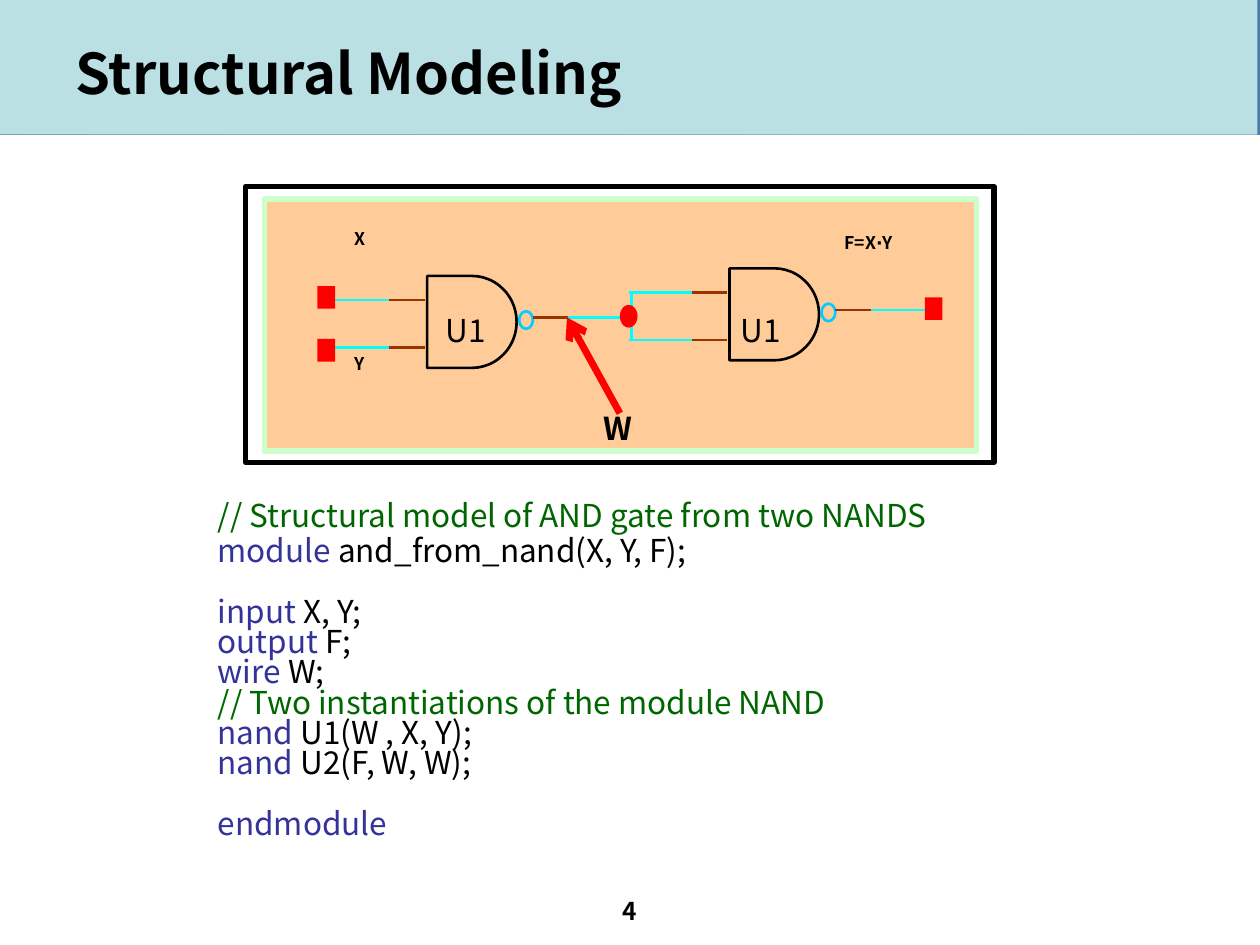
from lxml import etree
from pptx import Presentation
from pptx.dml.color import RGBColor
from pptx.enum.shapes import MSO_CONNECTOR, MSO_SHAPE
from pptx.enum.text import MSO_ANCHOR, PP_ALIGN
from pptx.oxml.ns import qn
from pptx.util import Inches, Pt

RECTANGLE, ELLIPSE = MSO_SHAPE.RECTANGLE, MSO_SHAPE.OVAL
GATE_BODY = MSO_SHAPE.FLOWCHART_DELAY
STRAIGHT = MSO_CONNECTOR.STRAIGHT
LEFT, CENTER = PP_ALIGN.LEFT, PP_ALIGN.CENTER
TOP, MIDDLE = MSO_ANCHOR.TOP, MSO_ANCHOR.MIDDLE

FONT = "Noto Sans CJK KR"
BLACK, RED = "000000", "FF0000"
WIRE, LEAD, BUBBLE = "00FFFF", "993300", "00CCFF"
KEYWORD, COMMENT = "333399", "006600"
LINE_PITCH = 17.3

# Each line of code: space before in points, then its (text, colour) runs
CODE = [
    (0, [("// Structural model of AND gate from two NANDS", COMMENT)]),
    (2.7, [("module", KEYWORD), (" and_from_nand(X, Y, F);", BLACK)]),
    (LINE_PITCH, [("input", KEYWORD), (" X, Y;", BLACK)]),
    (0, [("output", KEYWORD), (" F;", BLACK)]),
    (0, [("wire", KEYWORD), (" W;", BLACK)]),
    (0, [("// Two instantiations of the module NAND", COMMENT)]),
    (0, [("nand", KEYWORD), (" U1(W , X, Y);", BLACK)]),
    (0, [("nand", KEYWORD), (" U2(F, W, W);", BLACK)]),
    (LINE_PITCH, [("endmodule", KEYWORD)]),
]


def rgb(color):
    return RGBColor.from_string(color)


def add_block(page, kind, left, top, width, height, fill=None, line=None, weight=1.5):
    block = page.shapes.add_shape(
        kind, Inches(left), Inches(top), Inches(width), Inches(height))
    block.shadow.inherit = False
    if fill:
        block.fill.solid()
        block.fill.fore_color.rgb = rgb(fill)
    else:
        block.fill.background()
    if line:
        block.line.color.rgb = rgb(line)
        block.line.width = Pt(weight)
    else:
        block.line.fill.background()
    return block


def add_line(page, x1, y1, x2, y2, color, weight=1.5, arrow=False):
    line = page.shapes.add_connector(
        STRAIGHT, Inches(x1), Inches(y1), Inches(x2), Inches(y2))
    line.line.color.rgb = rgb(color)
    line.line.width = Pt(weight)
    properties = line._element.spPr
    if arrow:
        etree.SubElement(properties.find(qn("a:ln")), qn("a:tailEnd"), type="arrow")
    etree.SubElement(properties, qn("a:effectLst"))


def add_run(para, text, size, color=BLACK, bold=False):
    span = para.add_run()
    span.text = text
    span.font.name = FONT
    span.font.size = Pt(size)
    span.font.bold = bold
    span.font.color.rgb = rgb(color)


def add_text_box(page, left, top, width, height):
    box = page.shapes.add_textbox(
        Inches(left), Inches(top), Inches(width), Inches(height))
    box.text_frame.word_wrap = True
    box.text_frame.vertical_anchor = TOP
    return box.text_frame


def add_label(page, text, left, top, width, height, size, bold=False, align=LEFT):
    para = add_text_box(page, left, top, width, height).paragraphs[0]
    para.alignment = align
    add_run(para, text, size, bold=bold)


def add_header(page, width, height):
    """Blue band with a light cover set slightly to the left, and the title."""
    band = add_block(page, RECTANGLE, 0, 0, width, height)
    band.fill.gradient()
    band.fill.gradient_angle = 0
    for stop, color in zip(band.fill.gradient_stops, ("003F7E", "004386")):
        stop.color.rgb = rgb(color)
    last_color = list(band._element.spPr.iter(qn("a:srgbClr")))[-1]
    etree.SubElement(last_color, qn("a:alpha"), val="70000")
    add_block(page, RECTANGLE, -0.02, 0, width, height, fill="BBE0E3")

    title = page.shapes.title
    title.left, title.top = Inches(0.5), Inches(0.3)
    title.width, title.height = Inches(width - 1), Inches(0.54)
    title.text_frame.vertical_anchor = MIDDLE
    para = title.text_frame.paragraphs[0]
    para.alignment = LEFT
    add_run(para, "Structural Modeling", 32, bold=True)
    page.shapes._spTree.append(title._element)  # in front of the band


def add_gate(page, left, top):
    """NAND gate with two input wires and one output wire."""
    add_block(page, GATE_BODY, left, top, 0.71, 0.73, line=BLACK)
    add_block(page, ELLIPSE, left + 0.73, top + 0.28, 0.11, 0.14, line=BUBBLE)
    wires = [(-0.8, -0.3, -0.02, 0.19, WIRE, LEAD),
             (-0.8, -0.3, -0.02, 0.57, WIRE, LEAD),
             (0.84, 1.12, 1.61, 0.33, LEAD, WIRE)]
    for start, joint, end, drop, first, second in wires:
        y = top + drop
        add_line(page, left + start, y, left + joint, y, first)
        add_line(page, left + joint, y, left + end, y, second)


def add_circuit(page, left, top, width, height):
    add_block(page, RECTANGLE, left + 0.15, top + 0.1, width - 0.29, height - 0.19,
              fill="FFCC99", line="CCFFCC", weight=3)
    for x, y, label_x in ((1.44, 0.71, 1.49), (3.84, 0.65, 3.83)):
        add_gate(page, left + x, top + y)
        add_label(page, "U1", left + label_x, top + 0.94, 0.7, 0.4, 18)
    add_line(page, left + 3.06, top + 0.83, left + 3.06, top + 1.21, WIRE)

    terminals = [(RECTANGLE, 0.57, 0.79), (RECTANGLE, 0.57, 1.21),
                 (RECTANGLE, 5.39, 0.88), (ELLIPSE, 2.97, 0.94)]
    for kind, x, y in terminals:
        add_block(page, kind, left + x, top + y, 0.14, 0.18, fill=RED)

    signals = [("X", 0.64, 0.28, 0.53), ("Y", 0.64, 1.27, 0.53),
               ("F=X∙Y", 4.42, 0.31, 1.05)]
    for name, x, y, label_width in signals:
        add_label(page, name, left + x, top + y, label_width, 0.62, 10, True, CENTER)

    add_block(page, RECTANGLE, left, top, width, height, line=BLACK, weight=3)
    add_line(page, left + 2.97, top + 1.8, left + 2.55, top + 1.04, RED, 4, arrow=True)
    add_label(page, "W", left + 2.74, top + 1.72, 1.02, 0.4, 18, True)


def add_code(page, left, top, width, height):
    frame = add_text_box(page, left, top, width, height)
    for number, (gap, spans) in enumerate(CODE):
        para = frame.add_paragraph() if number else frame.paragraphs[0]
        para.line_spacing = Pt(LINE_PITCH)
        para.space_before = Pt(gap)
        for text, color in spans:
            add_run(para, text, 18, color)


def main():
    deck = Presentation()
    deck.slide_width, deck.slide_height = Inches(10), Inches(7.5)
    page = deck.slides.add_slide(deck.slide_layouts[5])
    add_header(page, 10, 1.07)
    add_circuit(page, 1.95, 1.48, 5.94, 2.19)
    add_code(page, 1.63, 3.95, 7.2, 3.08)
    add_label(page, "4", 3.83, 7.06, 2.33, 0.28, 14, True, CENTER)
    deck.save("out.pptx")


if __name__ == "__main__":
    main()
